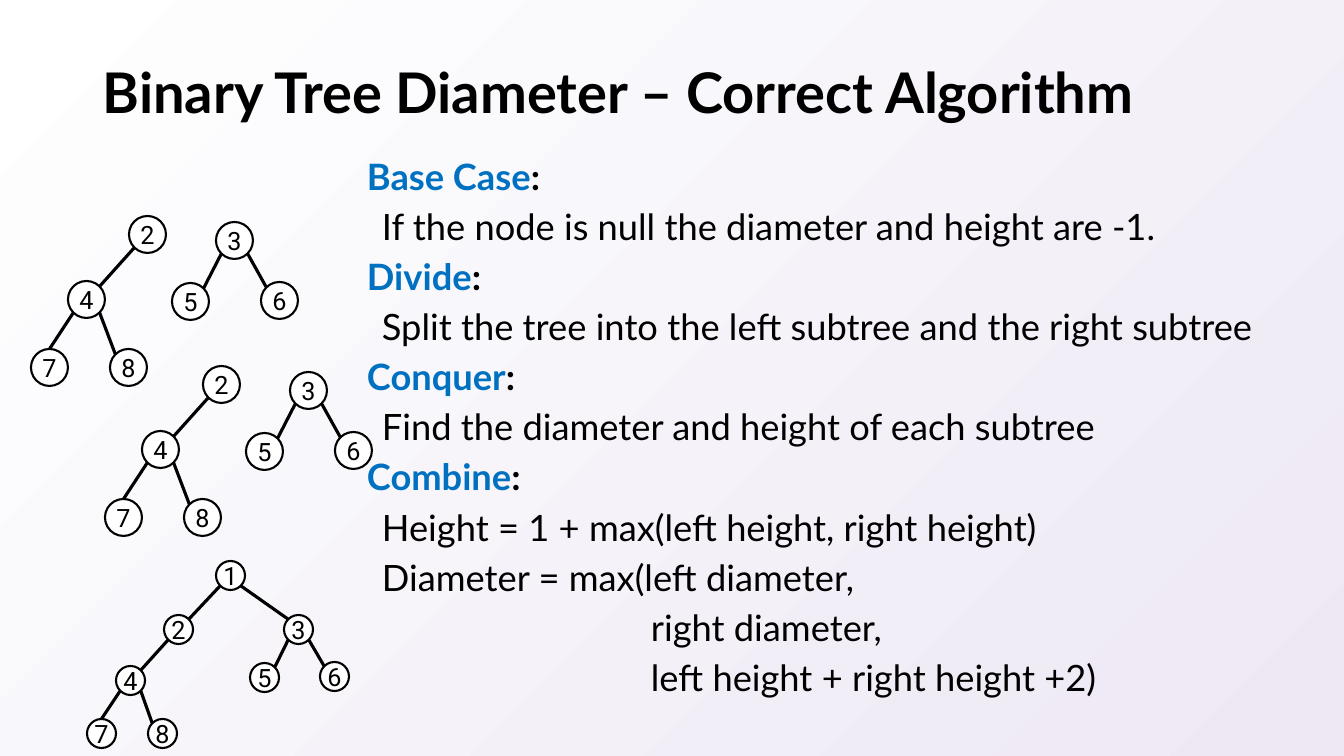
import math

import pptx
import pptx.dml.color
import pptx.enum.shapes
import pptx.enum.text
import pptx.util
from lxml import etree

RGB = pptx.dml.color.RGBColor
BLACK = RGB(0, 0, 0)
WHITE = RGB(255, 255, 255)
LILAC = RGB(0xED, 0xE8, 0xF4)
BLUE = RGB(0x00, 0x70, 0xC0)

PX = 914400 / 100.8
SLIDE_SIZE = (1344, 756)
TITLE = "Binary Tree Diameter – Correct Algorithm"
TITLE_BOX = (93, 40, 1159, 110)
BODY_BOX = (357, 143, 979, 580)
STEP_INDENT = 15
ARGUMENT_INDENT = 284

# heading, then (indent, line) pairs
SECTIONS = [
    ("Base Case", [(STEP_INDENT, "If the node is null the diameter and height are -1.")]),
    ("Divide", [(STEP_INDENT, "Split the tree into the left subtree and the right subtree")]),
    ("Conquer", [(STEP_INDENT, "Find the diameter and height of each subtree")]),
    ("Combine", [
        (STEP_INDENT, "Height = 1 + max(left height, right height)"),
        (STEP_INDENT, "Diameter = max(left diameter,"),
        (ARGUMENT_INDENT, "right diameter,"),
        (ARGUMENT_INDENT, "left height + right height +2)"),
    ]),
]

# label: left and top of the node's circle
WHOLE_TREE = {"1": (216, 561), "2": (164, 615), "3": (284, 615), "4": (116, 666),
              "7": (87, 719), "8": (148, 719), "5": (250, 663), "6": (320, 662)}
SUBTREES = {"2": (129, 216), "3": (216, 222), "4": (68, 281), "7": (31, 349),
            "8": (110, 349), "5": (172, 283), "6": (261, 282)}

# nodes, circle size, shift
TREES = [(WHOLE_TREE, 29, (0, 0)), (SUBTREES, 37, (0, 0)), (SUBTREES, 37, (74, 150))]

# parent, child, side of the parent it hangs from, side of the child it meets
LEFT, MIDDLE, RIGHT = -1, 0, 1
EDGES = [("1", "2", LEFT, RIGHT), ("2", "4", LEFT, RIGHT), ("4", "7", LEFT, MIDDLE),
         ("4", "8", RIGHT, LEFT), ("1", "3", RIGHT, LEFT), ("3", "5", LEFT, RIGHT),
         ("3", "6", RIGHT, LEFT)]


def px(*lengths):
    return [pptx.util.Emu(round(length * PX)) for length in lengths]


def add_run(paragraph, text, size, font, color=BLACK, bold=False):
    run = paragraph.add_run()
    run.text = text
    run.font.size = pptx.util.Pt(size)
    run.font.name = font
    run.font.bold = bold
    run.font.color.rgb = color


def add_text_frame(slide, box):
    frame = slide.shapes.add_textbox(*px(*box)).text_frame
    frame.word_wrap = True
    return frame


def add_title(slide):
    frame = add_text_frame(slide, TITLE_BOX)
    frame.vertical_anchor = pptx.enum.text.MSO_ANCHOR.MIDDLE
    paragraph = frame.paragraphs[0]
    paragraph.line_spacing = 0.9
    add_run(paragraph, TITLE, 40, "Lato", bold=True)


def add_algorithm(slide):
    frame = add_text_frame(slide, BODY_BOX)
    lines = []
    for heading, steps in SECTIONS:
        lines.append((0, [(heading, BLUE, True), (":", BLACK, True)]))
        lines += [(indent, [(step, BLACK, False)]) for indent, step in steps]
    for index, (indent, runs) in enumerate(lines):
        paragraph = frame.add_paragraph() if index else frame.paragraphs[0]
        properties = paragraph._p.get_or_add_pPr()
        properties.set("marL", str(px(indent)[0]))
        properties.set("indent", "0")
        paragraph.line_spacing = 1.15
        for text, color, bold in runs:
            add_run(paragraph, text, 25.9, "Lato", color, bold)


def add_node(group, label, left, top, size):
    node = group.shapes.add_shape(pptx.enum.shapes.MSO_SHAPE.OVAL, *px(left, top, size, size))
    node.shadow.inherit = False
    node.fill.solid()
    node.fill.fore_color.rgb = WHITE
    node.line.color.rgb = BLACK
    node.line.width = pptx.util.Pt(1.5)
    frame = node.text_frame
    frame.margin_left = frame.margin_right = frame.margin_top = frame.margin_bottom = 0
    frame.word_wrap = True
    frame.vertical_anchor = pptx.enum.text.MSO_ANCHOR.MIDDLE
    paragraph = frame.paragraphs[0]
    paragraph.alignment = pptx.enum.text.PP_ALIGN.CENTER
    add_run(paragraph, label, 18, "Roboto")


def rim_point(corner, size, side, down):
    """Point on a circle's rim: diagonal for a left or right side, else straight up or down."""
    radius = size / 2
    reach = radius * math.sqrt(0.5) if side else radius
    return corner[0] + radius + side * reach, corner[1] + radius + down * reach


def add_edge(group, start, end):
    edge = group.shapes.add_connector(pptx.enum.shapes.MSO_CONNECTOR.STRAIGHT,
                                      *px(*start, *end))
    edge.line.color.rgb = BLACK
    edge.line.width = pptx.util.Pt(2.25)
    properties = edge._element.spPr
    etree.SubElement(properties, pptx.oxml.ns.qn("a:effectLst"))


def add_tree(slide, nodes, size, shift):
    group = slide.shapes.add_group_shape()
    corners = {label: (left + shift[0], top + shift[1])
               for label, (left, top) in nodes.items()}
    for label, corner in corners.items():
        add_node(group, label, *corner, size)
    for parent, child, parent_side, child_side in EDGES:
        if parent in corners:
            add_edge(group, rim_point(corners[parent], size, parent_side, 1),
                     rim_point(corners[child], size, child_side, -1))


def main():
    presentation = pptx.Presentation()
    presentation.slide_width, presentation.slide_height = px(*SLIDE_SIZE)
    slide = presentation.slides.add_slide(presentation.slide_layouts[6])
    background = slide.background.fill
    background.gradient()
    background.gradient_angle = 315
    for stop, color in zip(background.gradient_stops, (WHITE, LILAC)):
        stop.color.rgb = color
    add_title(slide)
    add_algorithm(slide)
    for nodes, size, shift in TREES:
        add_tree(slide, nodes, size, shift)
    presentation.save("out.pptx")


if __name__ == "__main__":
    main()
